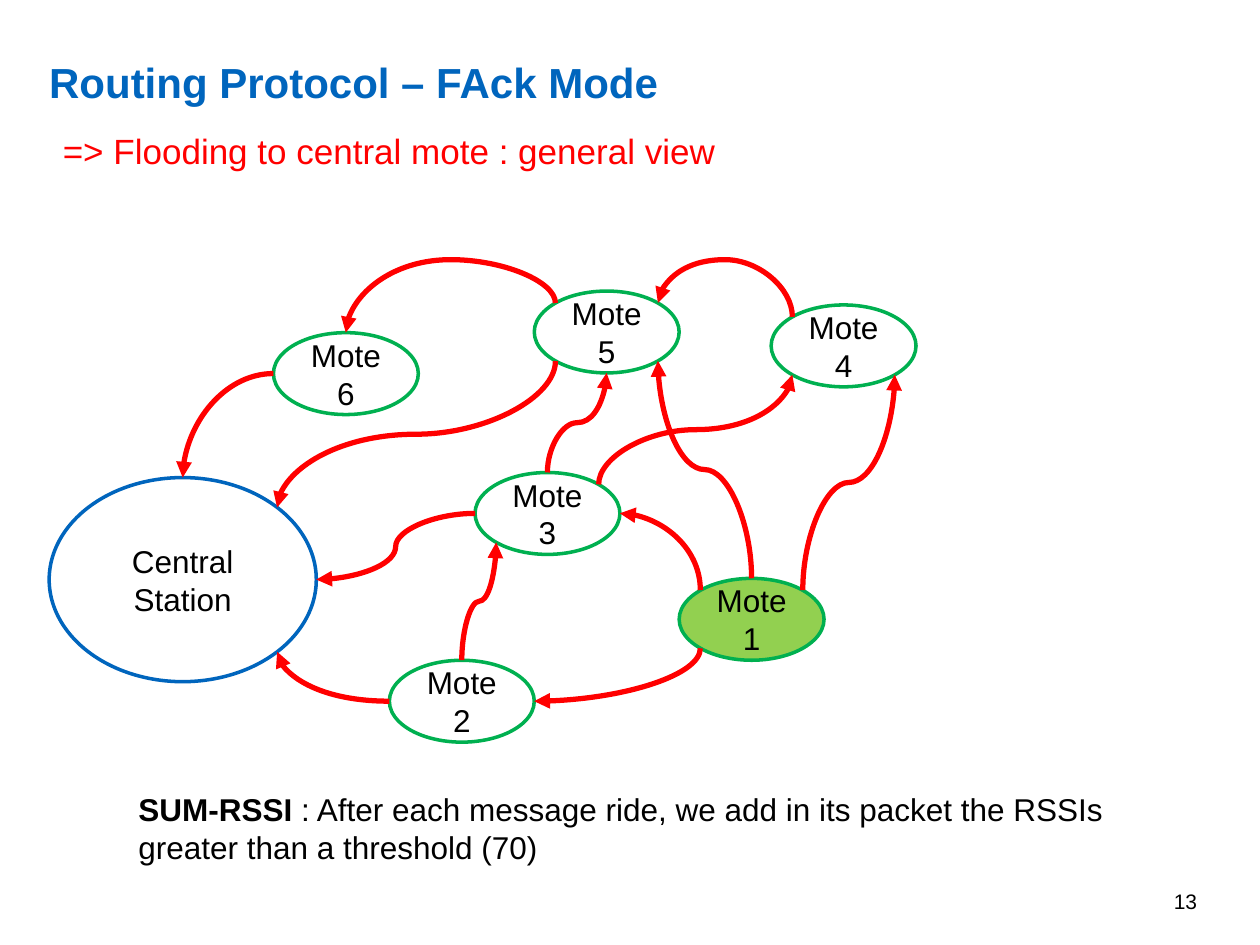
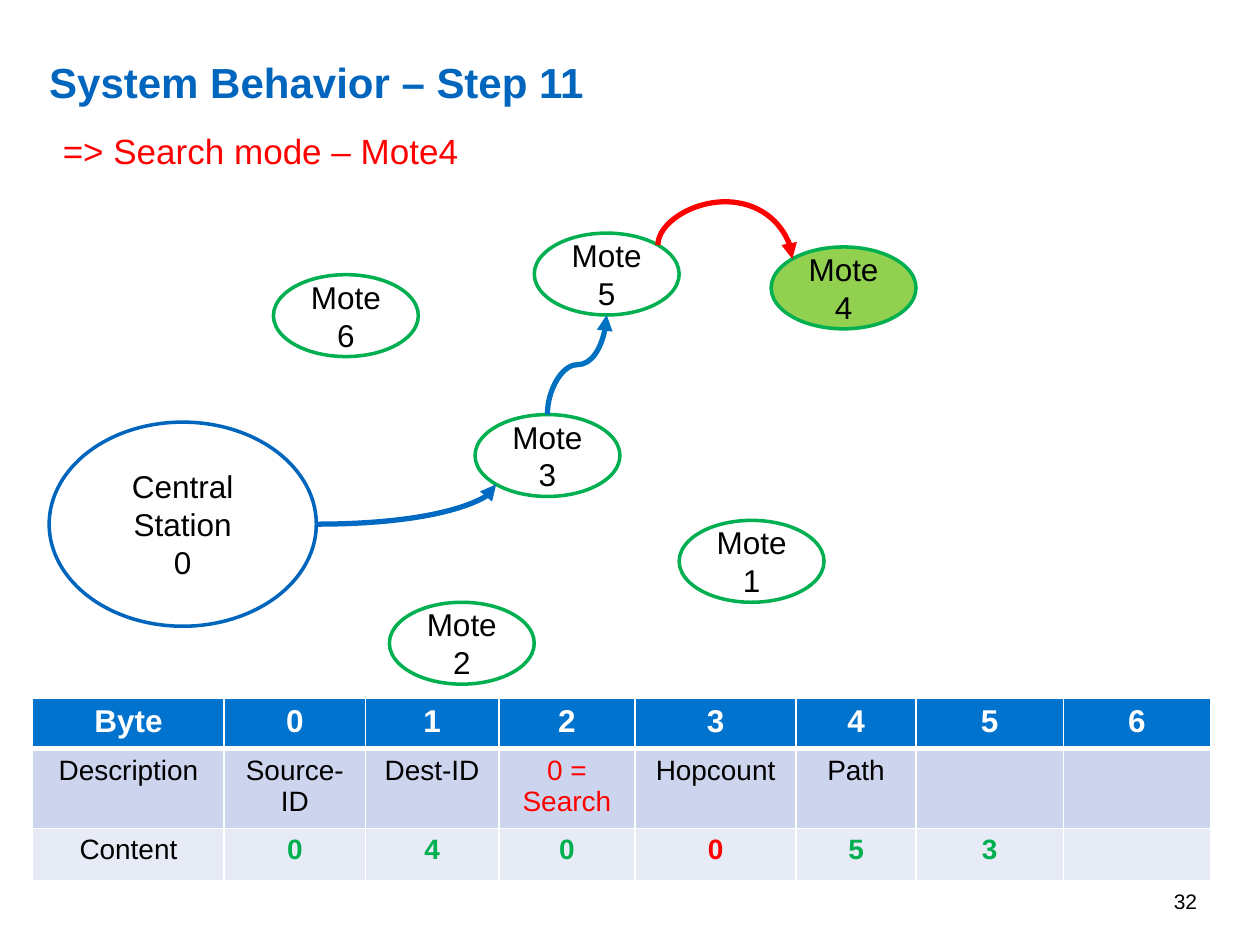
from dataclasses import dataclass
from math import sqrt

from lxml import etree
from pptx import Presentation
from pptx.dml.color import RGBColor
from pptx.enum.shapes import MSO_CONNECTOR, MSO_SHAPE
from pptx.enum.text import MSO_ANCHOR, MSO_AUTO_SIZE, PP_ALIGN
from pptx.oxml.ns import qn
from pptx.util import Inches, Length, Pt

CURVE, ELLIPSE = MSO_CONNECTOR.CURVE, MSO_SHAPE.OVAL
LEFT, CENTER, RIGHT = PP_ALIGN.LEFT, PP_ALIGN.CENTER, PP_ALIGN.RIGHT
TOP, MIDDLE = MSO_ANCHOR.TOP, MSO_ANCHOR.MIDDLE
NO_FIT, GROW = MSO_AUTO_SIZE.NONE, MSO_AUTO_SIZE.SHAPE_TO_FIT_TEXT
TITLE_ONLY = 5


@dataclass(frozen=True)
class Theme:
    font: str = "Arial"
    title_size: int = 24
    subtitle_size: int = 20
    body_size: int = 18
    cell_size: int = 16
    footer_size: int = 12
    title: str = "0065BD"
    black: str = "000000"
    white: str = "FFFFFF"
    red: str = "FF0000"
    green: str = "00B050"
    active: str = "92D050"
    station_route: str = "006AC3"
    mote_route: str = "0070C0"
    header: str = "0073CF"
    band: str = "CCD5ED"
    light_band: str = "E7EBF6"
    outline: float = 2
    arrow: float = 3


THEME = Theme()

# The slide is a grid of 100 columns by 75 rows.
CELL = Inches(0.1)
COLUMNS, ROWS = 100, 75
LOOP_RISE = 3.45
DIAGONAL = 1 / sqrt(2)
SITES = {
    "top": (0, -1), "bottom": (0, 1), "left": (-1, 0), "right": (1, 0),
    "top left": (-DIAGONAL, -DIAGONAL), "top right": (DIAGONAL, -DIAGONAL),
    "bottom left": (-DIAGONAL, DIAGONAL), "bottom right": (DIAGONAL, DIAGONAL),
}
SIDEWAYS = ("left", "right")


@dataclass(frozen=True)
class Box:
    column: float
    row: float
    width: float
    height: float

    def moved(self, rows: float) -> "Box":
        return Box(self.column, self.row + rows, self.width, self.height)

    def site(self, name: str) -> tuple[float, float]:
        """Point on the ellipse inscribed in this box."""
        across, down = SITES[name]
        return (self.column + self.width / 2 * (1 + across),
                self.row + self.height / 2 * (1 + down))

    def lengths(self) -> list[Length]:
        return [grid(n) for n in (self.column, self.row, self.width, self.height)]


@dataclass(frozen=True)
class Route:
    """A curved arrow between two nodes; a loop passes above both."""
    start: int
    start_site: str
    end: int
    end_site: str
    color: str = THEME.red
    loop: bool = False


TITLE_BOX = Box(3.9, 4, 78.4, 3.9)
NUMBER_BOX = Box(72.7, 69.5, 23.3, 4)
NOTE_BOX = Box(10, 62.2, 81.2, 7.1)
STATION = 0
STATION_BOX = Box(3.9, 37.9, 21.2, 16.2)
MOTE_CORNERS = {6: (21.7, 26.4), 5: (42.4, 23.1), 2: (30.9, 52.4),
                4: (61.2, 24.2), 3: (37.7, 37.5), 1: (53.9, 45.9)}
MOTE_BOXES = {mote: Box(*corner, 11.5, 6.5) for mote, corner in MOTE_CORNERS.items()}

FLOODING = [
    Route(1, "top right", 4, "bottom right"),
    Route(1, "top", 5, "bottom right"),
    Route(1, "top left", 3, "right"),
    Route(1, "bottom left", 2, "right"),
    Route(2, "left", STATION, "bottom right"),
    Route(2, "top", 3, "bottom left"),
    Route(3, "top right", 4, "bottom left"),
    Route(3, "top", 5, "bottom"),
    Route(4, "top left", 5, "top right", loop=True),
    Route(5, "top left", 6, "top", loop=True),
    Route(6, "left", STATION, "top"),
    Route(5, "bottom left", STATION, "top right"),
    Route(3, "left", STATION, "right"),
]
SEARCH = [
    Route(STATION, "right", 3, "bottom left", THEME.station_route),
    Route(3, "top", 5, "bottom", THEME.mote_route),
    Route(5, "top right", 4, "top left", loop=True),
]

PACKET_CORNER = (2.6, 55.4)
PACKET_COLUMNS = (15.2, 11.2, 10.6, 10.8, 12.8, 9.5, 11.7, 11.7)
PACKET_ROWS = (3.8, 6.1, 4.2)
PACKET = [
    ["Byte", "0", "1", "2", "3", "4", "5", "6"],
    ["Description", "Source-ID", "Dest-ID", "0 = Search", "Hopcount", "Path", "", ""],
    ["Content", "0", "4", "0", "0", "5", "3", ""],
]
PACKET_FILLS = (THEME.header, THEME.band, THEME.light_band)
PACKET_RED = {(1, 3), (2, 4)}


def grid(count: float) -> Length:
    return Length(round(count * CELL))


def rgb(color: str) -> RGBColor:
    return RGBColor.from_string(color)


def write_text(frame, text: str, *, size: float = THEME.body_size,
               color: str = THEME.black, bold: bool = False, align=LEFT,
               anchor=TOP, wrap: bool = True, fit=NO_FIT, lead: str = "",
               spacing: float | None = None) -> None:
    """Fill a frame, one paragraph a line, after an optional bold lead."""
    frame.word_wrap, frame.auto_size, frame.vertical_anchor = wrap, fit, anchor
    for index, line in enumerate(text.split("\n")):
        paragraph = frame.add_paragraph() if index else frame.paragraphs[0]
        paragraph.alignment = align
        if spacing:
            paragraph.line_spacing = spacing
        spans = [(line, bold)]
        if lead and index == 0:
            spans.insert(0, (lead, True))
        for words, heavy in spans:
            run = paragraph.add_run()
            run.text = words
            run.font.name, run.font.size, run.font.bold = THEME.font, Pt(size), heavy
            run.font.color.rgb = rgb(color)


def add_text(slide, box: Box, text: str, **text_format) -> None:
    write_text(slide.shapes.add_textbox(*box.lengths()).text_frame, text, **text_format)


def add_base_slide(presentation, title: str, subtitle: str,
                   subtitle_width: float, number: int):
    slide = presentation.slides.add_slide(presentation.slide_layouts[TITLE_ONLY])
    heading = slide.shapes.title
    heading.left, heading.top, heading.width, heading.height = TITLE_BOX.lengths()
    frame = heading.text_frame
    frame.margin_left = frame.margin_right = frame.margin_top = frame.margin_bottom = 0
    write_text(frame, title, size=THEME.title_size, color=THEME.title, bold=True,
               anchor=MIDDLE, spacing=1.25)
    add_text(slide, Box(4, 9.8, subtitle_width, 4.4), subtitle,
             size=THEME.subtitle_size, color=THEME.red, wrap=False, fit=GROW)
    add_text(slide, NUMBER_BOX, str(number), size=THEME.footer_size,
             align=RIGHT, anchor=MIDDLE)
    return slide


def add_node(slide, box: Box, text: str, line: str, fill: str = THEME.white) -> None:
    node = slide.shapes.add_shape(ELLIPSE, *box.lengths())
    node.shadow.inherit = False
    node.fill.solid()
    node.fill.fore_color.rgb = rgb(fill)
    node.line.color.rgb = rgb(line)
    node.line.width = Pt(THEME.outline)
    write_text(node.text_frame, text, align=CENTER, anchor=MIDDLE)


def add_route(slide, route: Route, nodes: dict[int, Box]) -> None:
    """Draw a route that leaves and arrives square to the sides it touches."""
    start_x, start_y = nodes[route.start].site(route.start_site)
    end_x, end_y = nodes[route.end].site(route.end_site)
    across, down = end_x - start_x, end_y - start_y
    leaves_sideways = route.start_site in SIDEWAYS
    single_bend = leaves_sideways != (route.end_site in SIDEWAYS)
    bend = 0.5
    if route.loop:
        bend = (min(start_y, end_y) - LOOP_RISE - start_y) / down

    width, height = abs(across), abs(down)
    if leaves_sideways:
        rotation = 180 if across < 0 else 0
        flip_horizontal, flip_vertical = False, (down < 0) != (across < 0)
    else:
        width, height = height, width
        upward = bend < 0 or (across < 0 and down < 0)
        rotation = 270 if upward else 90
        flip_horizontal, flip_vertical = (down < 0) != upward, (across > 0) != upward
    left = (start_x + end_x - width) / 2
    top = (start_y + end_y - height) / 2
    connector = slide.shapes.add_connector(
        CURVE, grid(left), grid(top), grid(left + width), grid(top + height))
    connector.line.color.rgb = rgb(route.color)
    connector.line.width = Pt(THEME.arrow)

    properties = connector.element.spPr
    transform = properties.find(qn("a:xfrm"))
    transform.set("rot", str(rotation * 60000))
    transform.set("flipH", str(int(flip_horizontal)))
    transform.set("flipV", str(int(flip_vertical)))
    geometry = properties.find(qn("a:prstGeom"))
    geometry.set("prst", "curvedConnector2" if single_bend else "curvedConnector3")
    if route.loop:
        etree.SubElement(geometry.find(qn("a:avLst")), qn("a:gd"),
                         name="adj1", fmla=f"val {round(bend * 100000)}")
    etree.SubElement(properties.find(qn("a:ln")), qn("a:tailEnd"), type="triangle")
    etree.SubElement(properties, qn("a:effectLst"))


def add_network(slide, station_text: str, active: int, routes: list[Route],
                station_shift: float = 0, mote_shift: float = 0) -> None:
    nodes = {mote: box.moved(mote_shift) for mote, box in MOTE_BOXES.items()}
    station = STATION_BOX.moved(station_shift)
    add_node(slide, station, station_text, THEME.title)
    for mote, box in nodes.items():
        fill = THEME.active if mote == active else THEME.white
        add_node(slide, box, f"Mote {mote}", THEME.green, fill)
    nodes[STATION] = station
    for route in routes:
        add_route(slide, route, nodes)


def set_borders(cell, widths: dict[str, float]) -> None:
    properties = cell._tc.get_or_add_tcPr()
    for side, width in widths.items():
        line = etree.SubElement(properties, qn(f"a:ln{side}"), w=str(Pt(width)))
        fill = etree.SubElement(line, qn("a:solidFill"))
        etree.SubElement(fill, qn("a:srgbClr"), val=THEME.white)


def packet_color(row: int, column: int) -> str:
    if row == 0:
        return THEME.white
    if (row, column) in PACKET_RED:
        return THEME.red
    return THEME.green if row == 2 and column else THEME.black


def add_packet_table(slide) -> None:
    box = Box(*PACKET_CORNER, sum(PACKET_COLUMNS), sum(PACKET_ROWS))
    table = slide.shapes.add_table(len(PACKET), len(PACKET[0]), *box.lengths()).table
    for column, width in zip(table.columns, PACKET_COLUMNS):
        column.width = grid(width)
    for row, height in zip(table.rows, PACKET_ROWS):
        row.height = grid(height)
    for row, texts in enumerate(PACKET):
        for column, text in enumerate(texts):
            cell = table.cell(row, column)
            set_borders(cell, {"L": 1, "R": 1, "T": 3 if row == 1 else 1,
                               "B": 3 if row == 0 else 1})
            cell.fill.solid()
            cell.fill.fore_color.rgb = rgb(PACKET_FILLS[row])
            if text:
                write_text(cell.text_frame, text, align=CENTER,
                           size=THEME.cell_size if row else THEME.body_size,
                           color=packet_color(row, column),
                           bold=row == 0 or (row == 2 and column > 0))


def add_flooding_slide(presentation) -> None:
    slide = add_base_slide(presentation, "Routing Protocol – FAck Mode",
                           "=> Flooding to central mote : general view", 54.2, 13)
    add_network(slide, "Central Station", 1, FLOODING)
    add_text(slide, NOTE_BOX, " : After each message ride, we add in its packet the "
             "RSSIs greater than a threshold (70)", lead="SUM-RSSI", fit=GROW)


def add_search_slide(presentation) -> None:
    slide = add_base_slide(presentation, "System Behavior – Step 11",
                           "=> Search mode – Mote4", 33.6, 32)
    add_network(slide, "Central Station\n0", 4, SEARCH,
                station_shift=-4.4, mote_shift=-4.6)
    add_packet_table(slide)


def main() -> None:
    presentation = Presentation()
    presentation.slide_width, presentation.slide_height = grid(COLUMNS), grid(ROWS)
    add_flooding_slide(presentation)
    add_search_slide(presentation)
    presentation.save("out.pptx")


if __name__ == "__main__":
    main()
